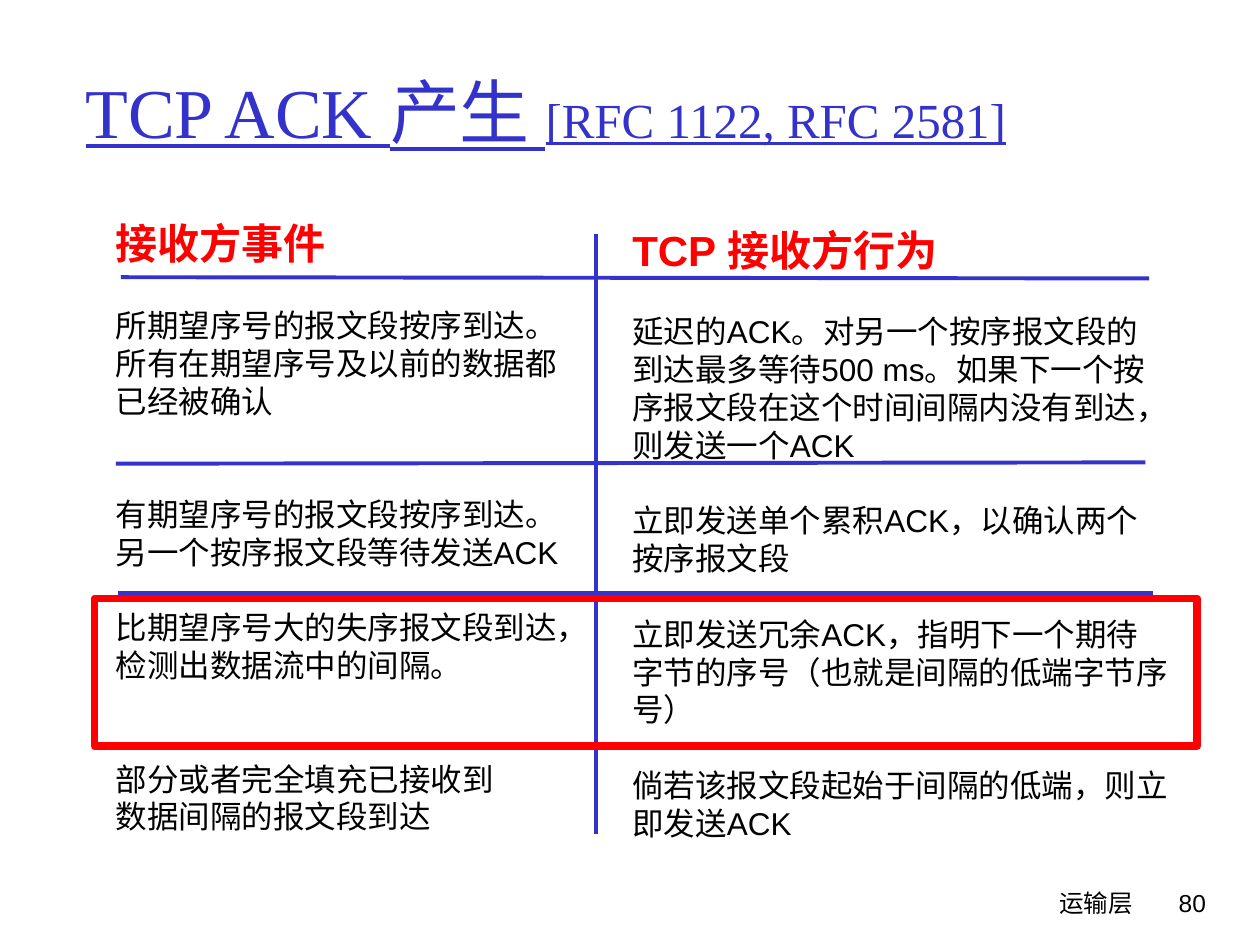
import pptx
import pptx.util
import pptx.dml.color
import pptx.enum.shapes
import pptx.enum.text
import pptx.oxml.ns
from lxml import etree

Inches = pptx.util.Inches
Pt = pptx.util.Pt
ALIGN = pptx.enum.text.PP_ALIGN

COLORS = {"blue": "3333CC", "red": "FF0000", "black": "000000"}
ROW_GAP = 21.6  # height of one 18 pt line, in points


def rgb(name):
    return pptx.dml.color.RGBColor.from_string(COLORS[name])


def add_text(paragraph, text, size=18, font="Arial", color="black",
             bold=False, underline=False, align=ALIGN.LEFT, before=0):
    paragraph.alignment = align
    paragraph.space_before = Pt(before)
    run = paragraph.add_run()
    run.text = text
    run.font.size = Pt(size)
    run.font.name = font
    run.font.color.rgb = rgb(color)
    run.font.bold = bold
    run.font.underline = underline


class SlideBuilder:
    title_style = {"font": "Times New Roman", "color": "blue", "underline": True}
    heading_style = {"size": 24, "color": "red", "bold": True}
    footer_style = {"size": 14, "align": ALIGN.RIGHT}

    def __init__(self, presentation):
        self.slide = presentation.slides.add_slide(presentation.slide_layouts[5])

    def title(self, box, parts):
        title = self.slide.shapes.title
        title.left, title.top, title.width, title.height = map(Inches, box)
        title.text_frame.vertical_anchor = pptx.enum.text.MSO_ANCHOR.MIDDLE
        for text, size in parts:
            add_text(title.text_frame.paragraphs[0], text, size=size, **self.title_style)

    def text_box(self, box):
        frame = self.slide.shapes.add_textbox(*map(Inches, box)).text_frame
        frame.word_wrap = True
        return frame

    def column(self, box, heading, entries):
        frame = self.text_box(box)
        add_text(frame.paragraphs[0], heading, **self.heading_style)
        for gap_lines, text in entries:
            add_text(frame.add_paragraph(), text, before=gap_lines * ROW_GAP)

    def footer(self, box, text, font):
        add_text(self.text_box(box).paragraphs[0], text, font=font, **self.footer_style)

    def rule(self, *ends):
        rule = self.slide.shapes.add_connector(
            pptx.enum.shapes.MSO_CONNECTOR.STRAIGHT, *map(Inches, ends))
        rule.line.color.rgb = rgb("blue")
        rule.line.width = Pt(2.25)
        etree.SubElement(rule._element.spPr, pptx.oxml.ns.qn("a:effectLst"))

    def highlight(self, box):
        frame = self.slide.shapes.add_shape(
            pptx.enum.shapes.MSO_SHAPE.RECTANGLE, *map(Inches, box))
        frame.shadow.inherit = False
        frame.fill.background()
        frame.line.color.rgb = rgb("red")
        frame.line.width = Pt(4.5)


def main():
    presentation = pptx.Presentation()
    presentation.slide_width = Inches(10)
    presentation.slide_height = Inches(7.5)
    builder = SlideBuilder(presentation)

    # Footer and title
    builder.footer((5.92, 7, 3.17, 0.5), "运输层", "Comic Neue")
    builder.footer((8.93, 7, 0.74, 0.5), "80", "Arial")
    builder.title((0.58, 0.25, 8.5, 1.25),
                  [("TCP ACK 产生 ", 40), ("[RFC 1122, RFC 2581]", 28)])

    # Receiver events and matching actions: (blank lines before, text)
    builder.column((0.82, 1.68, 3.84, 5.47), "接收方事件", [
        (1, "所期望序号的报文段按序到达。所有在期望序号及以前的数据都已经被确认"),
        (2, "有期望序号的报文段按序到达。另一个按序报文段等待发送ACK"),
        (1, "比期望序号大的失序报文段到达，检测出数据流中的间隔。"),
        (2, "部分或者完全填充已接收到"),
        (0, "数据间隔的报文段到达"),
    ])
    builder.column((4.92, 1.73, 4.46, 5.31), "TCP 接收方行为", [
        (1, "延迟的ACK。对另一个按序报文段的到达最多等待500 ms。"
            "如果下一个按序报文段在这个时间间隔内没有到达，则发送一个ACK"),
        (1, "立即发送单个累积ACK，以确认两个按序报文段"),
        (1, "立即发送冗余ACK，指明下一个期待字节的序号（也就是间隔的低端字节序号）"),
        (1, "倘若该报文段起始于间隔的低端，则立即发送ACK"),
    ])

    # Row rules, column divider and highlighted row
    for ends in [(0.96, 2.2, 9.12, 2.21), (0.92, 3.68, 9.09, 3.67),
                 (0.94, 4.71, 9.15, 4.71), (0.95, 5.92, 9.14, 5.93),
                 (4.73, 1.86, 4.73, 6.62)]:
        builder.rule(*ends)
    builder.highlight((0.75, 4.75, 8.75, 1.17))

    presentation.save("out.pptx")


if __name__ == "__main__":
    main()
